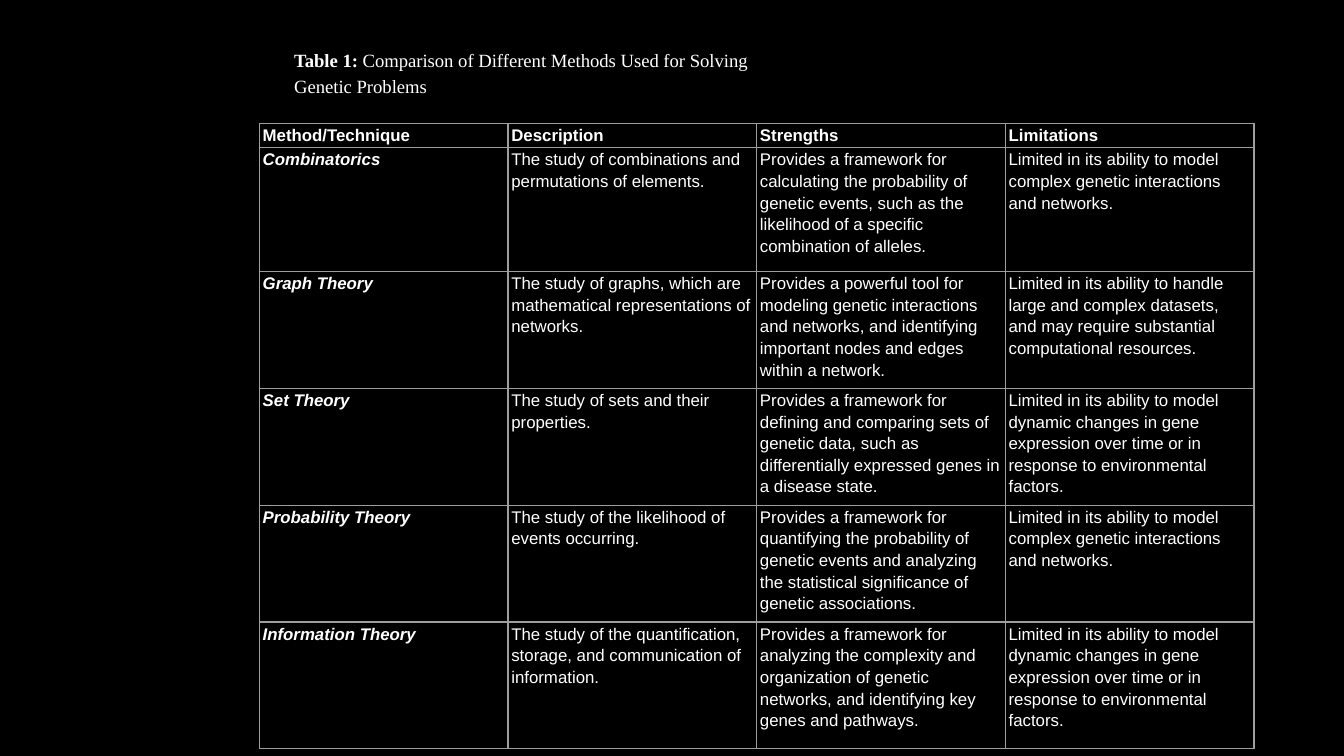
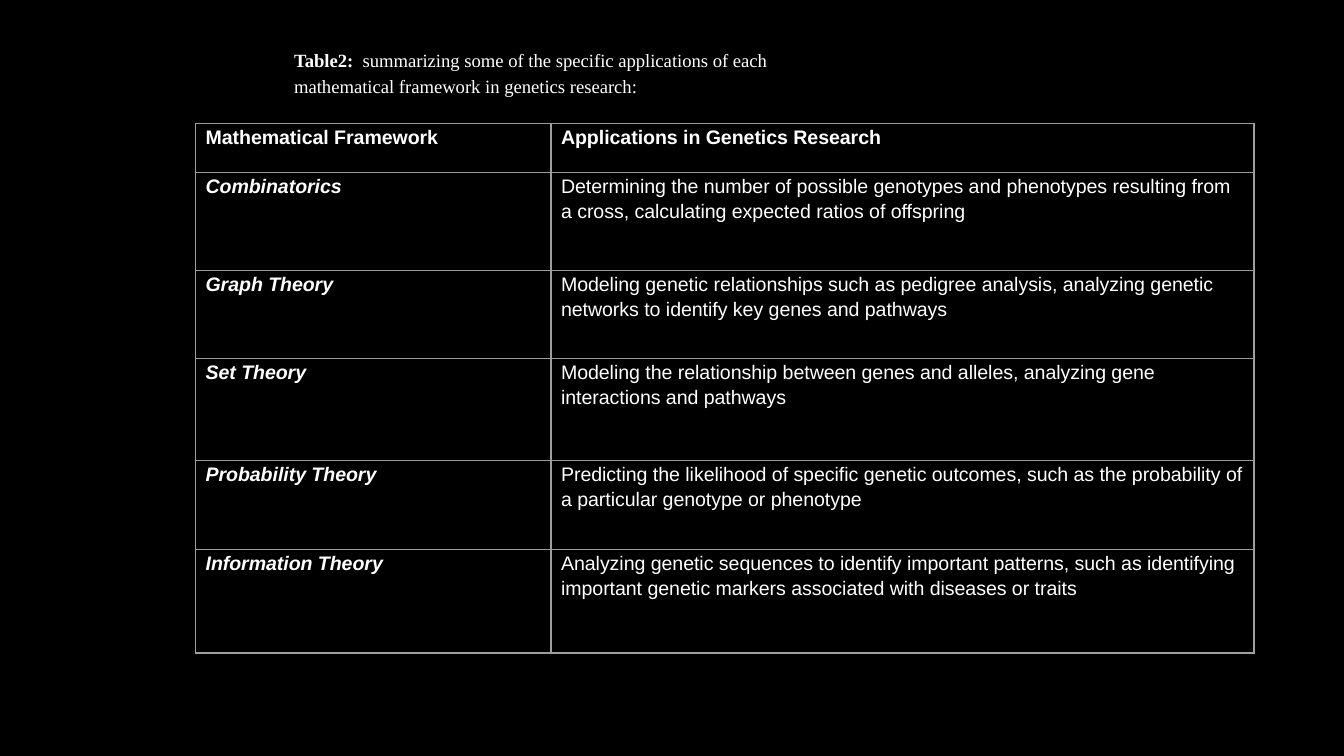
import lxml.etree
import pptx
import pptx.dml.color
import pptx.enum.text
import pptx.oxml
import pptx.oxml.ns
import pptx.util

EMU_PER_PX = 4572  # 200 px to the inch
SLIDE_SIZE = (2000, 1125)
COLORS = {"background": "000000", "text": "FFFFFF", "border": "9E9E9E"}
FONTS = {"caption": "Times New Roman", "table": "Arial"}
BORDER_PT = 0.75
CAPTION_BOX = (418, 58, 756, 96)
TABLE_TOP = 184

METHODS = [
    ("Method/Technique", "Description", "Strengths", "Limitations"),
    ("Combinatorics",
     "The study of combinations and permutations of elements.",
     "Provides a framework for calculating the probability of genetic events, "
     "such as the likelihood of a specific combination of alleles.",
     "Limited in its ability to model complex genetic interactions and networks."),
    ("Graph Theory",
     "The study of graphs, which are mathematical representations of networks.",
     "Provides a powerful tool for modeling genetic interactions and networks, "
     "and identifying important nodes and edges within a network.",
     "Limited in its ability to handle large and complex datasets, "
     "and may require substantial computational resources."),
    ("Set Theory",
     "The study of sets and their properties.",
     "Provides a framework for defining and comparing sets of genetic data, "
     "such as differentially expressed genes in a disease state.",
     "Limited in its ability to model dynamic changes in gene expression over time "
     "or in response to environmental factors."),
    ("Probability Theory",
     "The study of the likelihood of events occurring.",
     "Provides a framework for quantifying the probability of genetic events "
     "and analyzing the statistical significance of genetic associations.",
     "Limited in its ability to model complex genetic interactions and networks."),
    ("Information Theory",
     "The study of the quantification, storage, and communication of information.",
     "Provides a framework for analyzing the complexity and organization of genetic "
     "networks, and identifying key genes and pathways.",
     "Limited in its ability to model dynamic changes in gene expression over time "
     "or in response to environmental factors."),
]

APPLICATIONS = [
    ("Mathematical Framework", "Applications in Genetics Research"),
    ("Combinatorics",
     "Determining the number of possible genotypes and phenotypes resulting from "
     "a cross, calculating expected ratios of offspring"),
    ("Graph Theory",
     "Modeling genetic relationships such as pedigree analysis, analyzing genetic "
     "networks to identify key genes and pathways"),
    ("Set Theory",
     "Modeling the relationship between genes and alleles, analyzing gene "
     "interactions and pathways"),
    ("Probability Theory",
     "Predicting the likelihood of specific genetic outcomes, such as the "
     "probability of a particular genotype or phenotype"),
    ("Information Theory",
     "Analyzing genetic sequences to identify important patterns, such as "
     "identifying important genetic markers associated with diseases or traits"),
]


def px(n):
    return pptx.util.Emu(n * EMU_PER_PX)


def rgb(name):
    return pptx.dml.color.RGBColor.from_string(COLORS[name])


class Deck:
    """Holds the presentation, its style and the slide being built."""

    def __init__(self):
        self.prs = pptx.Presentation()
        self.prs.slide_width, self.prs.slide_height = map(px, SLIDE_SIZE)
        self.slide = None

    def add_slide(self):
        self.slide = self.prs.slides.add_slide(self.prs.slide_layouts[6])
        fill = self.slide.background.fill
        fill.solid()
        fill.fore_color.rgb = rgb("background")

    def style_paragraph(self, p, font, size):
        p.line_spacing = 1.15
        p.space_after = pptx.util.Pt(10)
        p.font.name = FONTS[font]
        p.font.size = pptx.util.Pt(size)
        p.font.color.rgb = rgb("text")

    def caption(self, label, text):
        """Add a caption with a bold label followed by plain text."""
        tf = self.slide.shapes.add_textbox(*map(px, CAPTION_BOX)).text_frame
        tf.word_wrap = True
        tf.auto_size = pptx.enum.text.MSO_AUTO_SIZE.SHAPE_TO_FIT_TEXT
        p = tf.paragraphs[0]
        self.style_paragraph(p, "caption", 10)
        for content, bold in ((label, True), (text, False)):
            r = p.add_run()
            r.text = content
            r.font.bold = bold

    def border(self, cell):
        tc_pr = cell._tc.get_or_add_tcPr()
        for side in ("lnL", "lnR", "lnT", "lnB"):
            ln = lxml.etree.SubElement(tc_pr, pptx.oxml.ns.qn(f"a:{side}"),
                                       w=str(pptx.util.Pt(BORDER_PT)))
            fill = lxml.etree.SubElement(ln, pptx.oxml.ns.qn("a:solidFill"))
            lxml.etree.SubElement(fill, pptx.oxml.ns.qn("a:srgbClr"),
                                  val=COLORS["border"])

    def table(self, rows, left, widths, heights, size, inset):
        """Add a table with a bold header row and bold italic row names."""
        table = self.slide.shapes.add_table(
            len(rows), len(widths), px(left), px(TABLE_TOP),
            px(sum(widths)), px(sum(heights))).table
        table.first_row = table.horz_banding = False
        for column, width in zip(table.columns, widths):
            column.width = px(width)
        for i, (row, height) in enumerate(zip(rows, heights)):
            table.rows[i].height = px(height)
            for j, text in enumerate(row):
                cell = table.cell(i, j)
                cell.text = text
                cell.margin_left = cell.margin_right = px(inset)
                cell.margin_top = cell.margin_bottom = 0
                self.border(cell)
                cell.fill.background()
                p = cell.text_frame.paragraphs[0]
                self.style_paragraph(p, "table", size)
                p.font.bold = i == 0 or j == 0
                p.font.italic = i > 0 and j == 0


def main():
    deck = Deck()

    deck.add_slide()
    deck.table(METHODS, left=386, widths=[370] * 4,
               heights=[36, 184, 174, 174, 174, 188], size=9, inset=5)
    deck.caption("Table 1:", " Comparison of Different Methods Used for Solving "
                 "Genetic Problems")

    deck.add_slide()
    deck.table(APPLICATIONS, left=291, widths=[529, 1046],
               heights=[73, 146, 131, 151, 133, 154], size=10.5, inset=15)
    deck.caption("Table2:", "  summarizing some of the specific applications of each "
                 "mathematical framework in genetics research:")

    deck.prs.save("out.pptx")


if __name__ == "__main__":
    main()
